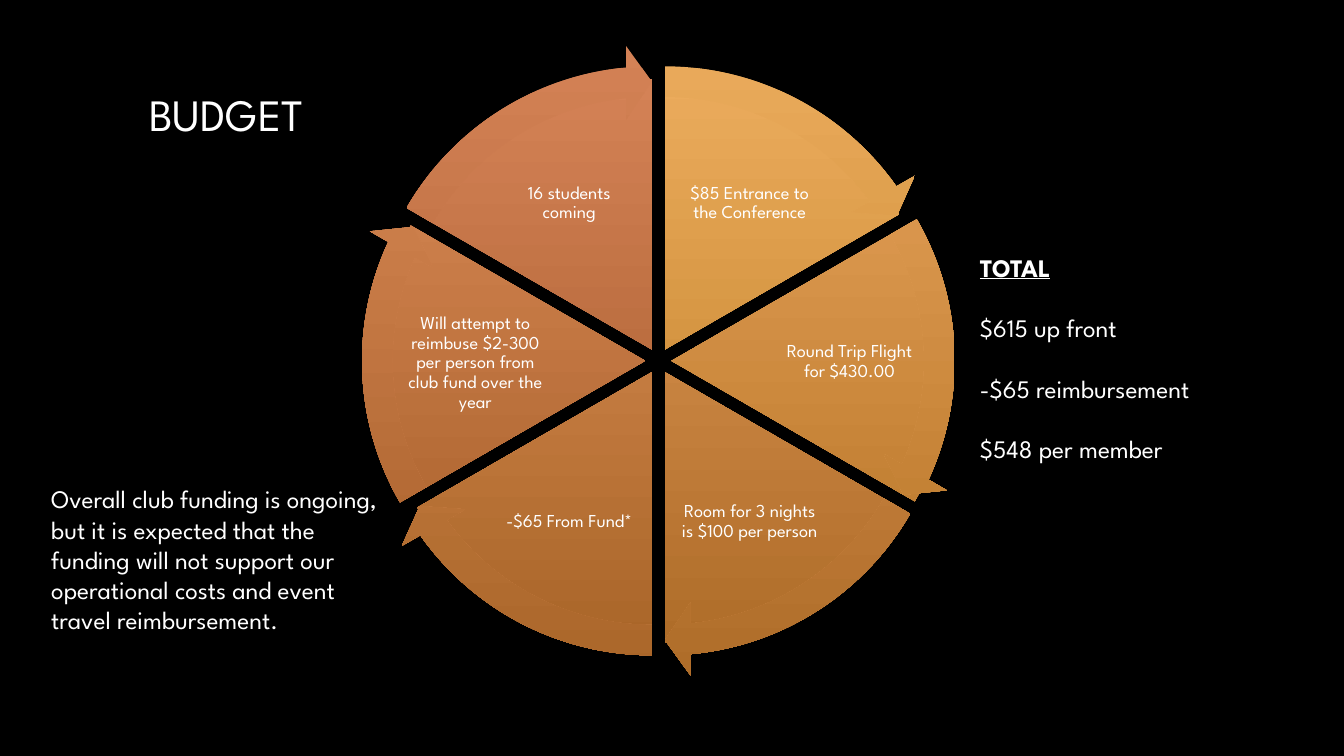
"""Build the budget slide: a six-wedge cycle with totals and a funding note."""
from dataclasses import dataclass
from math import cos, radians, sin

from pptx import Presentation
from pptx.dml.color import RGBColor
from pptx.enum.shapes import MSO_SHAPE
from pptx.enum.text import MSO_ANCHOR, PP_ALIGN
from pptx.shapes.autoshape import Shape
from pptx.slide import Slide
from pptx.util import Inches, Pt


@dataclass(frozen=True)
class Theme:
    font: str = "League Spartan"
    background: str = "000000"
    text: str = "FFFFFF"
    title_size: int = 32
    body_size: int = 18
    label_size: int = 13
    body_gap: float = 21.6


@dataclass(frozen=True)
class Area:
    left: float
    top: float
    width: float
    height: float


@dataclass(frozen=True)
class Wedge:
    label: str
    area: Area
    light: str
    dark: str
    width: float = 5.37
    height: float = 5.37


THEME = Theme()
CENTER_X, CENTER_Y = 6.53, 3.58
WEDGE_OFFSET = 0.13
ARROW_SIZE = 6.04
ARROW_THICKNESS, ARROW_TIP, ARROW_HEAD = 0.05, 3.28, 0.06
SWEEP = 60
ANGLE_UNIT = 0.6

WEDGES = [
    Wedge("$85 Entrance to the Conference", Area(6.73, 1.47, 1.41, 1.09), "EBAB5C", "BD7E25"),
    Wedge("Round Trip Flight for $430.00", Area(7.66, 3.05, 1.53, 1.08), "E7A25A", "B67527", 5.59, 5.51),
    Wedge("Room for 3 nights is $100 per person", Area(6.73, 4.63, 1.41, 1.09), "E29A59", "AF6D29"),
    Wedge("-$65 From Fund*", Area(4.94, 4.63, 1.41, 1.09), "DE9158", "AA6629"),
    Wedge("Will attempt to reimbuse $2-300 per person from club fund over the year",
          Area(3.98, 3.07, 1.47, 1.06), "D98957", "A65F28"),
    Wedge("16 students coming", Area(4.94, 1.47, 1.41, 1.09), "D48256", "A15828"),
]
TOTALS = ["TOTAL", "$615 up front", "-$65 reimbursement", "$548 per member"]
NOTE = ("Overall club funding is ongoing, but it is expected that the funding "
        "will not support our operational costs and event travel reimbursement.")


def add_text(page: Slide, area: Area, lines: list[str], size: int,
             anchor: MSO_ANCHOR = MSO_ANCHOR.TOP) -> Shape:
    """Add a wrapped text box with one paragraph per line."""
    box = page.shapes.add_textbox(Inches(area.left), Inches(area.top),
                                  Inches(area.width), Inches(area.height))
    frame = box.text_frame
    frame.word_wrap = True
    frame.vertical_anchor = anchor
    frame.text = "\n".join(lines)
    for para in frame.paragraphs:
        for span in para.runs:
            span.font.name = THEME.font
            span.font.size = Pt(size)
            span.font.color.rgb = RGBColor.from_string(THEME.text)
    return box


def add_label(page: Slide, wedge: Wedge) -> None:
    """Add the centred label of a wedge."""
    box = add_text(page, wedge.area, [wedge.label], THEME.label_size, MSO_ANCHOR.MIDDLE)
    frame = box.text_frame
    frame.margin_left = frame.margin_right = Inches(0.02)
    frame.margin_top = frame.margin_bottom = Inches(0.02)
    para = frame.paragraphs[0]
    para.alignment = PP_ALIGN.CENTER
    para.line_spacing = 0.9


def add_sector(page: Slide, kind: MSO_SHAPE, index: int, width: float, height: float,
               adjustments: list[float]) -> None:
    """Add a gradient shape pushed outward along its wedge's direction."""
    direction = radians(index * SWEEP - SWEEP)
    left = CENTER_X + WEDGE_OFFSET * cos(direction) - width / 2
    top = CENTER_Y + WEDGE_OFFSET * sin(direction) - height / 2
    shape = page.shapes.add_shape(kind, Inches(left), Inches(top), Inches(width), Inches(height))
    for position, value in enumerate(adjustments):
        shape.adjustments[position] = value
    shape.shadow.inherit = False
    shape.line.fill.background()
    shape.fill.gradient()
    shape.fill.gradient_angle = 270
    wedge = WEDGES[index]
    for stop, color in zip(shape.fill.gradient_stops, (wedge.light, wedge.dark)):
        stop.color.rgb = RGBColor.from_string(color)


def wedge_angles(index: int) -> tuple[float, float]:
    """Return the start and end of a wedge in adjustment units."""
    start = (index * SWEEP - 1.5 * SWEEP) % 360
    return start * ANGLE_UNIT, (start + SWEEP) % 360 * ANGLE_UNIT


def add_cycle(page: Slide) -> None:
    """Add the labelled wedges and the arrows around them."""
    for index, wedge in enumerate(WEDGES):
        add_sector(page, MSO_SHAPE.PIE, index, wedge.width, wedge.height, list(wedge_angles(index)))
        add_label(page, wedge)
    for index in range(len(WEDGES)):
        start, end = wedge_angles(index)
        add_sector(page, MSO_SHAPE.CIRCULAR_ARROW, index, ARROW_SIZE, ARROW_SIZE,
                   [ARROW_THICKNESS, ARROW_TIP, end - ARROW_TIP, start, ARROW_HEAD])


def add_totals(page: Slide) -> None:
    """Add the totals under their underlined heading."""
    box = add_text(page, Area(9.62, 2.45, 2.78, 2.22), TOTALS, THEME.body_size)
    heading, *amounts = box.text_frame.paragraphs
    heading.runs[0].font.bold = True
    heading.runs[0].font.underline = True
    for para in amounts:
        para.space_before = Pt(THEME.body_gap)


def main() -> None:
    """Create and save the deck."""
    deck = Presentation()
    deck.slide_width, deck.slide_height = Inches(13.33), Inches(7.5)
    page = deck.slides.add_slide(deck.slide_layouts[6])
    page.background.fill.solid()
    page.background.fill.fore_color.rgb = RGBColor.from_string(THEME.background)
    add_text(page, Area(1.38, 0.4, 10.6, 1.45), ["BUDGET"], THEME.title_size, MSO_ANCHOR.MIDDLE)
    add_cycle(page)
    add_totals(page)
    add_text(page, Area(0.41, 4.75, 3.49, 1.92), [NOTE], THEME.body_size)
    deck.save("out.pptx")


if __name__ == "__main__":
    main()
